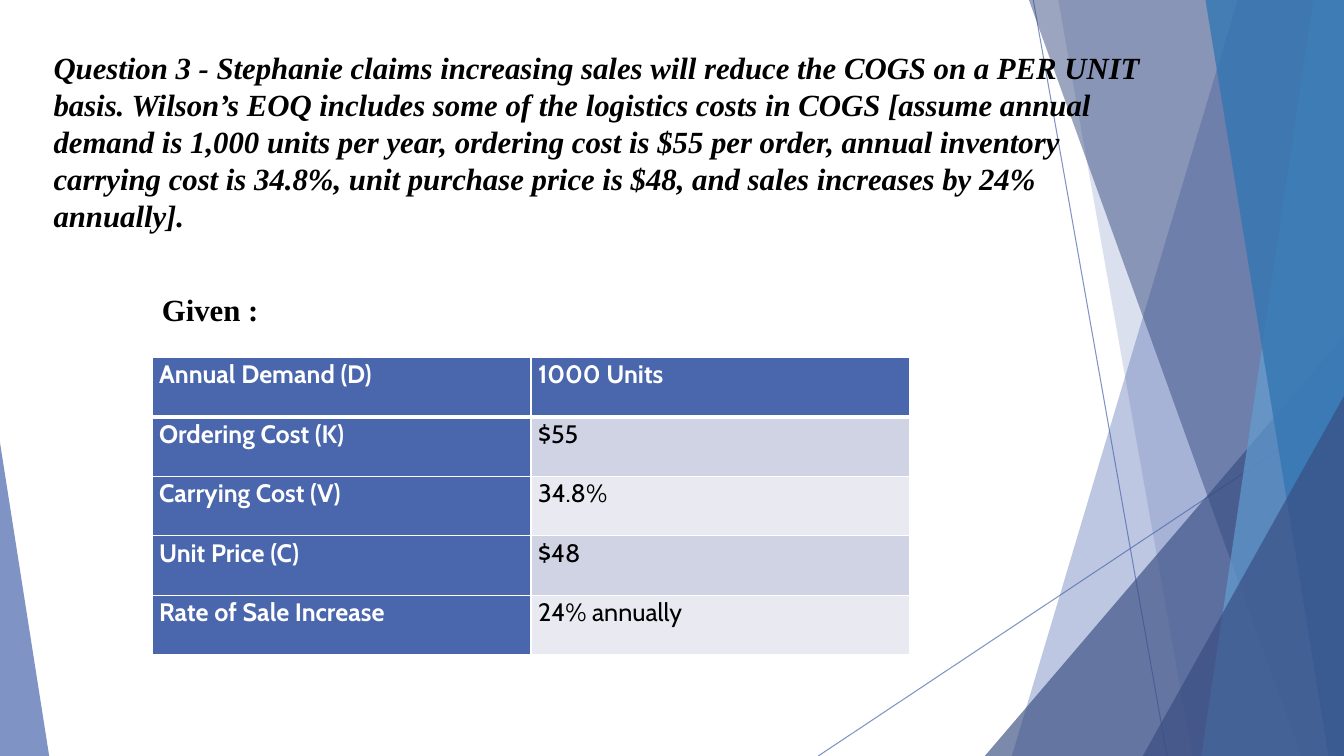
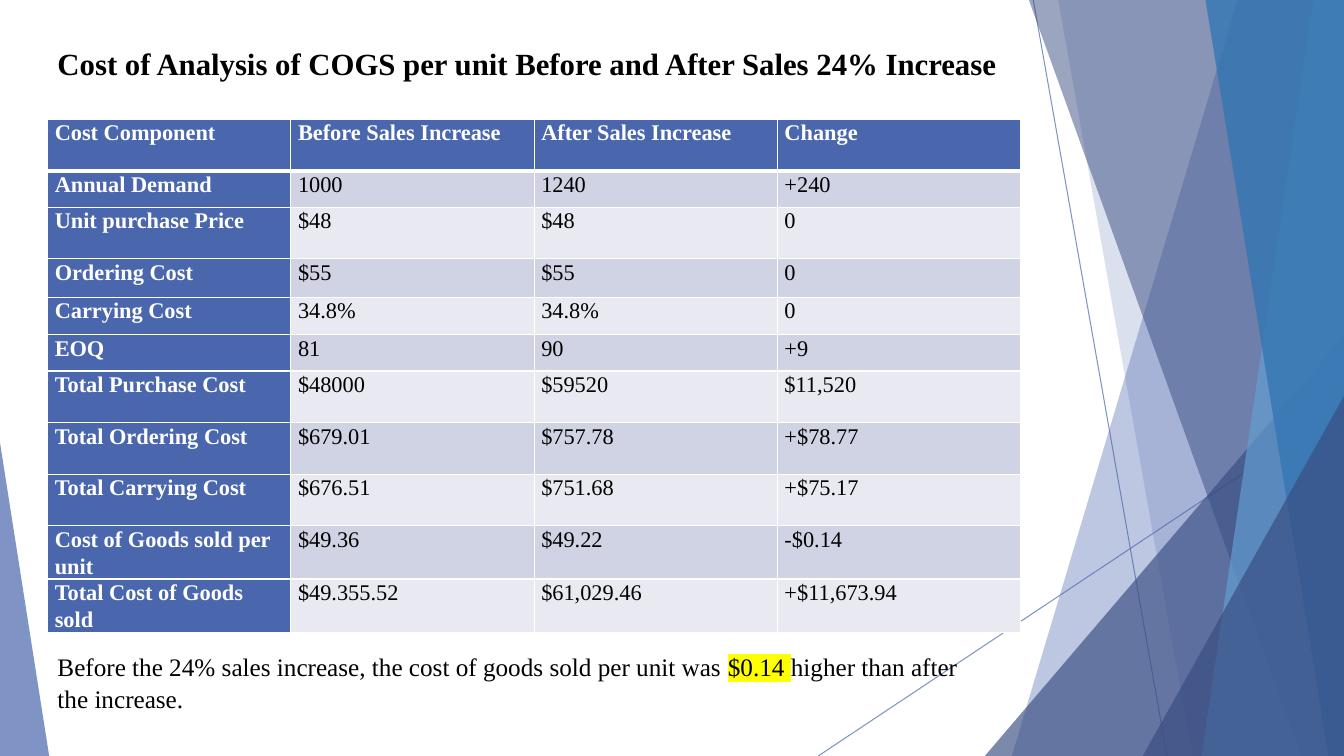
import dataclasses

import lxml.etree
import pptx
import pptx.dml.color
import pptx.enum.shapes
import pptx.oxml.ns
import pptx.util

Cm, Pt = pptx.util.Cm, pptx.util.Pt
qn = pptx.oxml.ns.qn


@dataclasses.dataclass(frozen=True)
class Theme:
    blue: str = "4A66AC"
    navy: str = "384C81"
    sky: str = "629DD1"
    ocean: str = "3477B2"
    row_dark: str = "D0D3E3"
    row_light: str = "E9EAF1"
    white: str = "FFFFFF"
    black: str = "000000"
    highlight: str = "FFFF00"
    serif: str = "Times New Roman"
    sans: str = "Cabin"
    title_size: int = 22
    body_size: int = 18
    small_size: int = 16


theme = Theme()
rgb = pptx.dml.color.RGBColor.from_string


def set_opacity(shape, percent):
    for color in shape.element.xpath("./p:spPr//a:srgbClr"):
        lxml.etree.SubElement(color, qn("a:alpha"), val=str(percent * 1000))


def style_para(para, font, size, color, bold=False, italic=False, spaced=False):
    for span in para.runs:
        span.font.name, span.font.size = font, Pt(size)
        span.font.bold, span.font.italic = bold, italic
        span.font.color.rgb = rgb(color)
    if spaced:
        para.line_spacing, para.space_after = 1.07, Pt(8)


# Deck and pages
deck = pptx.Presentation()
deck.slide_width, deck.slide_height = Cm(33.87), Cm(19.05)
right, bottom = deck.slide_width, deck.slide_height
layout = deck.slide_layouts[6]
for placeholder in list(layout.placeholders):
    layout.shapes.element.remove(placeholder.element)
question_page = deck.slides.add_slide(layout)
analysis_page = deck.slides.add_slide(layout)

# Shared decoration: thin lines, then facets from back to front
decoration = []
for x1, y1, x2, y2 in [(26.04, 0, 29.41, 19.05), (33.87, 10.24, 20.62, 19.05)]:
    line = question_page.shapes.add_connector(
        pptx.enum.shapes.MSO_CONNECTOR.STRAIGHT, Cm(x1), Cm(y1), Cm(x2), Cm(y2))
    line.line.color.rgb, line.line.width = rgb(theme.blue), Pt(0.75)
    lxml.etree.SubElement(line.element.spPr, qn("a:effectLst"))
    set_opacity(line, 70)
    decoration.append(line)

# A band gives its left edge at top and bottom; a triangle its left, top, width, apex
facets = [
    ("band", theme.blue, 36, (31.19, 25.5)),
    ("band", theme.blue, 20, (26.67, 30.05)),
    ("triangle", theme.navy, 66, (24.82, 8.46, 9.05, 1)),
    ("band", theme.navy, 50, (25.93, 32.79)),
    ("band", theme.sky, 70, (33.1, 30.28)),
    ("band", theme.ocean, 80, (30.38, 33.48)),
    ("triangle", theme.navy, 66, (28.8, 9.98, 5.07, 1)),
    ("triangle", theme.blue, 70, (0, 11.15, 1.24, 0)),
]
for kind, color, opacity, geometry in facets:
    if kind == "band":
        top_x, bottom_x = map(Cm, geometry)
        outline = question_page.shapes.build_freeform(top_x, 0)
        outline.add_line_segments([(right, 0), (right, bottom), (bottom_x, bottom)])
        facet = outline.convert_to_shape()
    else:
        left, top, width, apex = geometry
        facet = question_page.shapes.add_shape(
            pptx.enum.shapes.MSO_SHAPE.ISOSCELES_TRIANGLE,
            Cm(left), Cm(top), Cm(width), bottom - Cm(top))
        facet.adjustments[0] = apex
    facet.shadow.inherit = False
    facet.fill.solid()
    facet.fill.fore_color.rgb = rgb(color)
    facet.line.fill.background()
    set_opacity(facet, opacity)
    decoration.append(facet)

# The layout carries the decoration for every page
for shape in decoration:
    layout.shapes.element.append(shape.element)

# Tables
given_rows = [
    ("Annual Demand (D)", "1000 Units"),
    ("Ordering Cost (K)", "$55"),
    ("Carrying Cost (V)", "34.8%"),
    ("Unit Price (C)", "$48"),
    ("Rate of Sale Increase", "24% annually"),
]
cost_rows = [
    ("Cost Component", "Before Sales Increase", "After Sales Increase", "Change"),
    ("Annual Demand", "1000", "1240", "+240"),
    ("Unit purchase Price", "$48", "$48", "0"),
    ("Ordering Cost", "$55", "$55", "0"),
    ("Carrying Cost", "34.8%", "34.8%", "0"),
    ("EOQ", "81", "90", "+9"),
    ("Total Purchase Cost", "$48000", "$59520", "$11,520"),
    ("Total Ordering Cost", "$679.01", "$757.78", "+$78.77"),
    ("Total Carrying Cost", "$676.51", "$751.68", "+$75.17"),
    ("Cost of Goods sold per unit", "$49.36", "$49.22", "-$0.14"),
    ("Total Cost of Goods sold", "$49.355.52", "$61,029.46", "+$11,673.94"),
]
cost_heights = [1.3, 0.92, 1.3, 0.97, 0.94, 0.92] + [1.3] * 5
tables = [
    (question_page, given_rows, 3.83, 9, 9.55, [1.5] * 5, theme.sans, theme.body_size),
    (analysis_page, cost_rows, 1.2, 3, 6.13, cost_heights, theme.serif, theme.small_size),
]
for page, rows, left, top, column_width, heights, font, size in tables:
    columns = len(rows[0])
    table = page.shapes.add_table(
        len(rows), columns, Cm(left), Cm(top),
        Cm(column_width * columns), Cm(sum(heights))).table
    for column in table.columns:
        column.width = Cm(column_width)
    for r, (row, height) in enumerate(zip(rows, heights)):
        table.rows[r].height = Cm(height)
        for c, text in enumerate(row):
            cell = table.cell(r, c)
            cell.text_frame.text = text
            cell.margin_left = cell.margin_right = Cm(0.18)
            cell.margin_top = cell.margin_bottom = 0
            heading = r == 0 or c == 0
            style_para(cell.text_frame.paragraphs[0], font, size,
                       theme.white if heading else theme.black, heading, spaced=True)

            # White borders, thicker under the header row
            properties = cell._tc.get_or_add_tcPr()
            for side in "LRTB":
                thick = (r, side) in [(0, "B"), (1, "T")]
                border = lxml.etree.SubElement(
                    properties, qn("a:ln" + side), w=str(Pt(3 if thick else 1)))
                fill = lxml.etree.SubElement(border, qn("a:solidFill"))
                lxml.etree.SubElement(fill, qn("a:srgbClr"), val=theme.white)
            cell.fill.solid()
            band = theme.row_dark if r % 2 else theme.row_light
            cell.fill.fore_color.rgb = rgb(theme.blue if heading else band)

# Titles and sentences: page, box, spans, size, bold, italic, spaced
question = (
    "Question 3 - Stephanie claims increasing sales will reduce the COGS on a PER UNIT "
    "basis. Wilson’s EOQ includes some of the logistics costs in COGS [assume annual "
    "demand is 1,000 units per year, ordering cost is $55 per order, annual inventory "
    "carrying cost is 34.8%, unit purchase price is $48, and sales increases by 24% "
    "annually].")
heading = "Cost of Analysis of COGS per unit Before and After Sales 24% Increase"
saving = "$0.14 "
conclusion = [
    "Before the 24% sales increase, the cost of goods sold per unit was ",
    saving, "higher than after the increase."]
texts = [
    (question_page, (1.1, 1.1, 28.32, 6.3), [question], theme.title_size, True, True, False),
    (question_page, (3.83, 7.2, 6.12, 1.2), ["Given :"], theme.title_size, True, False, False),
    (analysis_page, (1.2, 1, 26.1, 1.2), [heading], theme.title_size, True, False, False),
    (analysis_page, (1.2, 16.23, 23.77, 1.85), conclusion, theme.body_size, False, False, True),
]
for page, place, spans, size, bold, italic, spaced in texts:
    box = page.shapes.add_textbox(*map(Cm, place))
    box.text_frame.word_wrap = True
    para = box.text_frame.paragraphs[0]
    for text in spans:
        para.add_run().text = text
    style_para(para, theme.serif, size, theme.black, bold, italic, spaced)
    for span in para.runs:
        if span.text == saving:
            mark = lxml.etree.Element(qn("a:highlight"))
            lxml.etree.SubElement(mark, qn("a:srgbClr"), val=theme.highlight)
            span.font._element.find(qn("a:solidFill")).addnext(mark)

deck.save("out.pptx")
